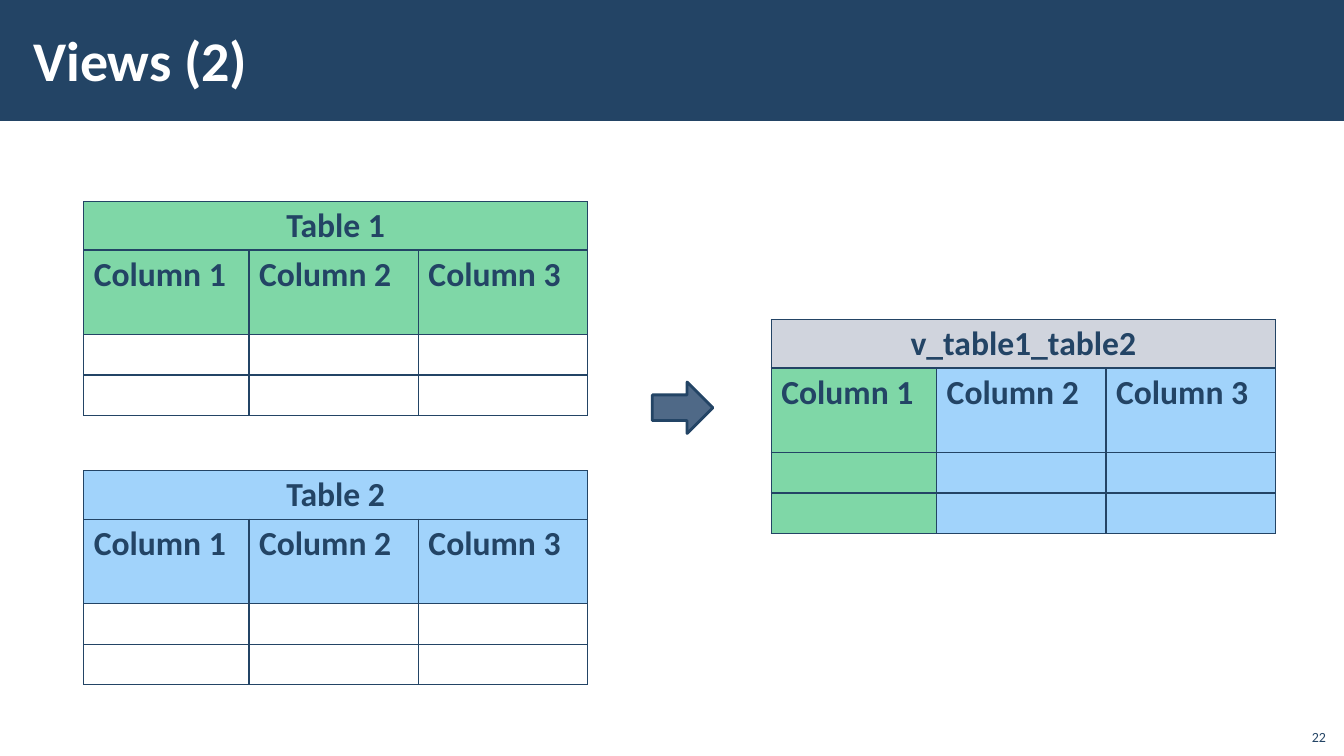
from lxml.etree import SubElement
from pptx import Presentation
from pptx.dml.color import RGBColor
from pptx.enum.shapes import MSO_SHAPE
from pptx.enum.text import MSO_ANCHOR, PP_ALIGN
from pptx.oxml import parse_xml
from pptx.oxml.ns import nsdecls, qn
from pptx.util import Inches, Pt

THEME = {
    "font": "Calibri",
    "navy": "234465",
    "white": "FFFFFF",
    "slate": "4F6987",
    "green": "00B050",
    "blue": "44A9F8",
    "gray": "A3ABBC",
    "title_size": 40,
    "table_size": 24,
    "number_size": 10,
}


def write_text(frame, text, size, color, bold, alignment):
    paragraph = frame.paragraphs[0]
    paragraph.alignment = alignment
    run = paragraph.add_run()
    run.text = text
    run.font.color.rgb = RGBColor.from_string(THEME[color])
    font_format = {"name": THEME["font"], "size": Pt(THEME[size]), "bold": bold}
    for attribute, value in font_format.items():
        setattr(run.font, attribute, value)
    return paragraph


def format_cell(cell, color):
    properties = cell._tc.get_or_add_tcPr()
    if color:
        cell.fill.solid()
        cell.fill.fore_color.rgb = RGBColor.from_string(THEME[color])
        color_element = properties.find(".//" + qn("a:srgbClr"))
        SubElement(color_element, qn("a:alpha"), val="50000")
    else:
        cell.fill.background()
    for position, side in enumerate(("lnL", "lnR", "lnT", "lnB")):
        border = parse_xml(
            f'<a:{side} {nsdecls("a")} w="{Pt(0.96)}"><a:solidFill>'
            f'<a:srgbClr val="{THEME["navy"]}"/></a:solidFill></a:{side}>'
        )
        properties.insert(position, border)


presentation = Presentation()
presentation.slide_width = Inches(13.33)
presentation.slide_height = Inches(7.5)
slide = presentation.slides.add_slide(presentation.slide_layouts[6])

banner = slide.shapes.add_shape(
    MSO_SHAPE.RECTANGLE, 0, 0, presentation.slide_width, Inches(1.2)
)
banner.shadow.inherit = False
banner.fill.solid()
banner.fill.fore_color.rgb = RGBColor.from_string(THEME["navy"])
banner.line.fill.background()

text_boxes = [
    ("Views (2)", (0.21, 0.11, 10.62, 0.96), (0.12, 0.04), MSO_ANCHOR.MIDDLE,
     ("title_size", "white", True, PP_ALIGN.LEFT)),
    ("22", (12.85, 7.12, 0.4, 0.32), (0.1, 0.05), MSO_ANCHOR.BOTTOM,
     ("number_size", "navy", False, PP_ALIGN.RIGHT)),
]
for text, bounds, (side_margin, end_margin), anchor, text_format in text_boxes:
    frame = slide.shapes.add_textbox(*map(Inches, bounds)).text_frame
    frame_format = {
        "word_wrap": True,
        "vertical_anchor": anchor,
        "margin_left": Inches(side_margin),
        "margin_right": Inches(side_margin),
        "margin_top": Inches(end_margin),
        "margin_bottom": Inches(end_margin),
    }
    for attribute, value in frame_format.items():
        setattr(frame, attribute, value)
    write_text(frame, text, *text_format)

column_widths = [1.64, 1.68, 1.68]
row_heights = [0.47, 0.84, 0.38, 0.38]
view_columns = ["green", "blue", "blue"]
tables = [
    ("Table 2", 0.83, 4.67, "blue", ["blue"] * 3, [None] * 3),
    ("Table 1", 0.83, 2, "green", ["green"] * 3, [None] * 3),
    ("v_table1_table2", 7.65, 3.17, "gray", view_columns, view_columns),
]
for name, left, top, title_color, header_colors, body_colors in tables:
    table = slide.shapes.add_table(
        len(row_heights), len(column_widths), Inches(left), Inches(top),
        Inches(sum(column_widths)), Inches(sum(row_heights)),
    ).table
    table.first_row = False
    table.horz_banding = False
    for column, width in zip(table.columns, column_widths):
        column.width = Inches(width)
    for row, height in zip(table.rows, row_heights):
        row.height = Inches(height)
    row_colors = [[title_color] * 3, header_colors, body_colors, body_colors]
    for row, colors in zip(table.rows, row_colors):
        for cell, color in zip(row.cells, colors):
            format_cell(cell, color)
    table.cell(0, 0).merge(table.cell(0, 2))
    labels = [(table.cell(0, 0), name, PP_ALIGN.CENTER)]
    for index in range(3):
        labels.append((table.cell(1, index), f"Column {index + 1}", PP_ALIGN.LEFT))
    for cell, text, alignment in labels:
        paragraph = write_text(
            cell.text_frame, text, "table_size", "navy", True, alignment
        )
        paragraph.line_spacing = 0.95

arrow = slide.shapes.add_shape(
    MSO_SHAPE.RIGHT_ARROW, Inches(6.47), Inches(3.79), Inches(0.6), Inches(0.51)
)
arrow.shadow.inherit = False
arrow.fill.solid()
arrow.fill.fore_color.rgb = RGBColor.from_string(THEME["slate"])
arrow.line.color.rgb = RGBColor.from_string(THEME["navy"])
arrow.line.width = Pt(2)

presentation.save("out.pptx")
